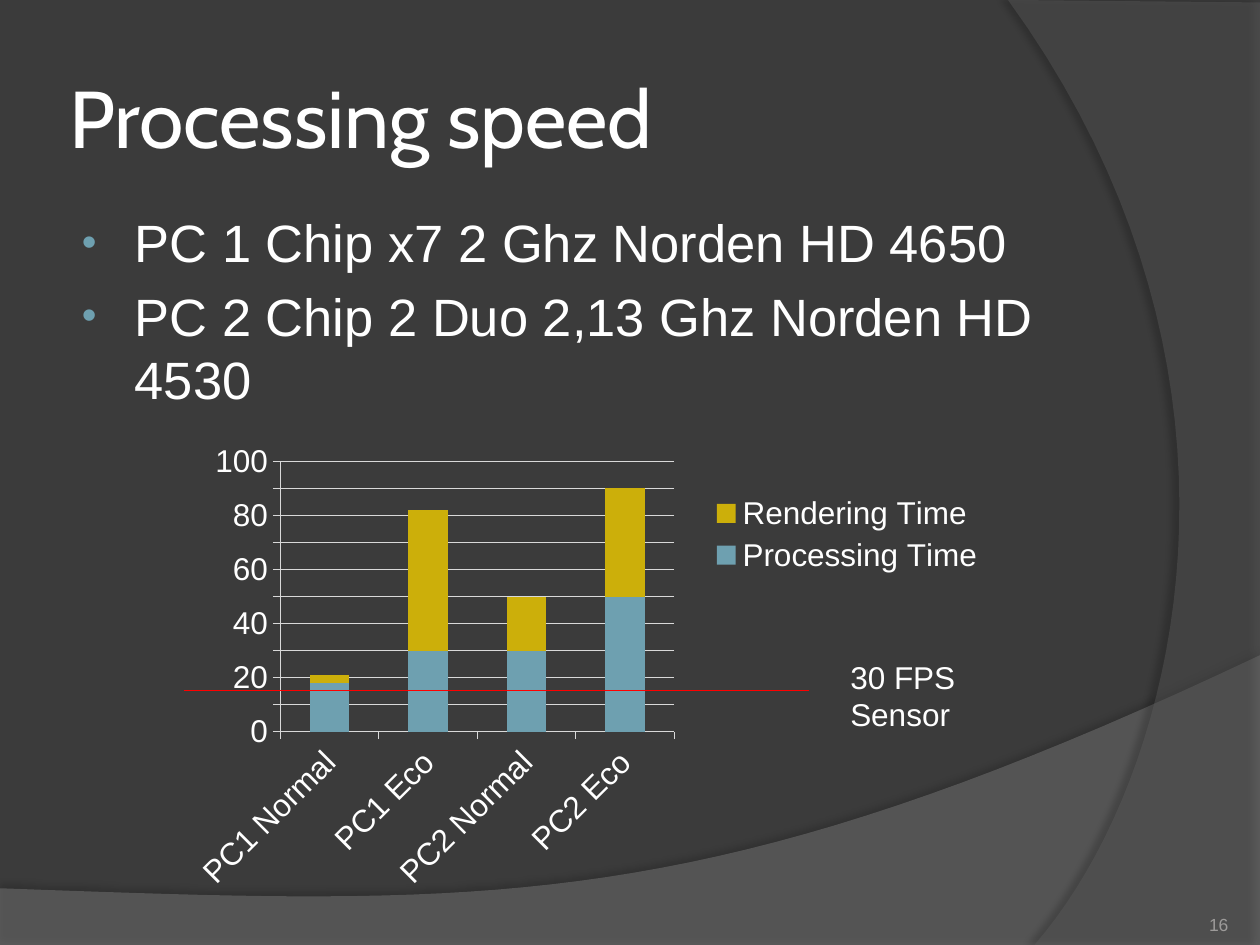
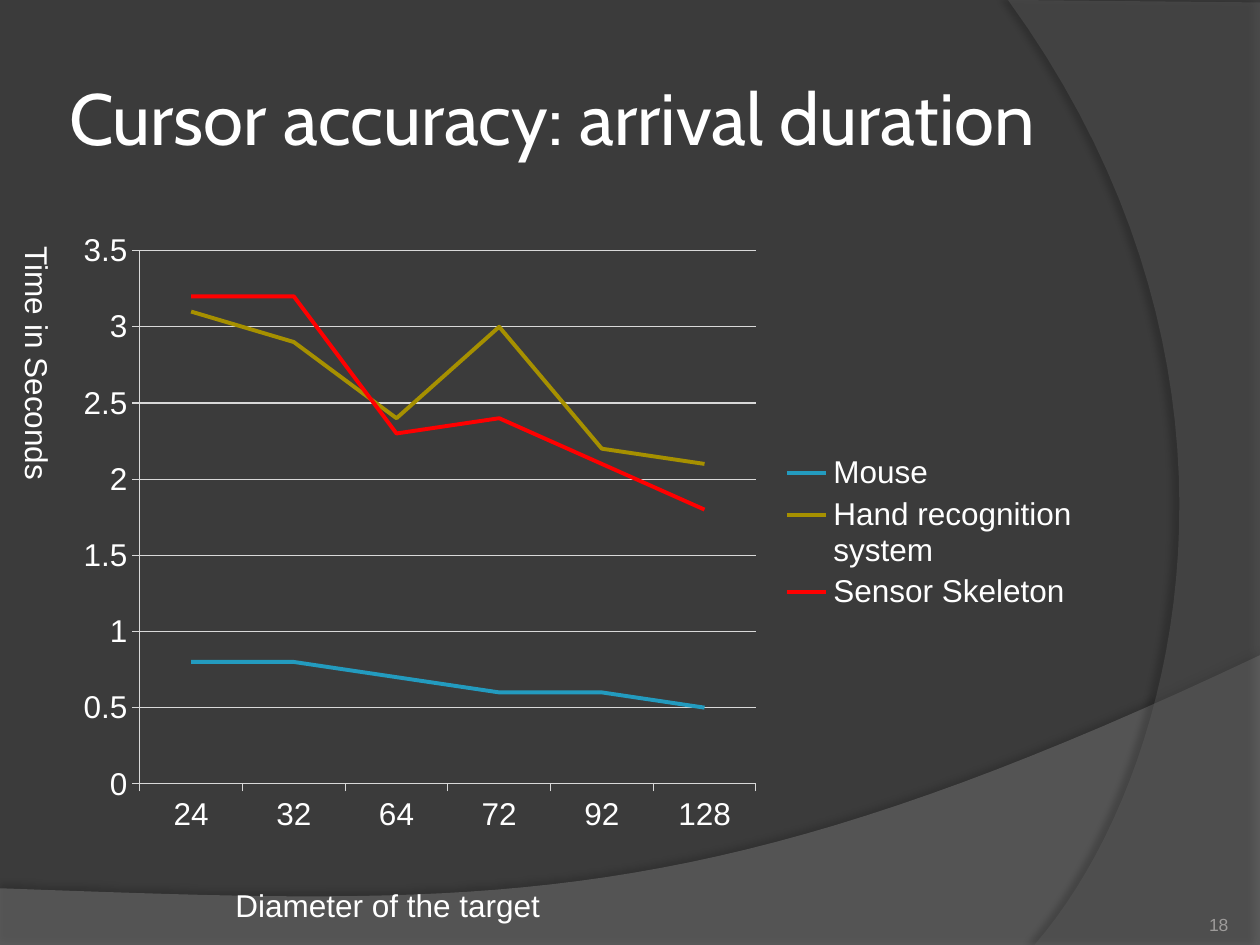
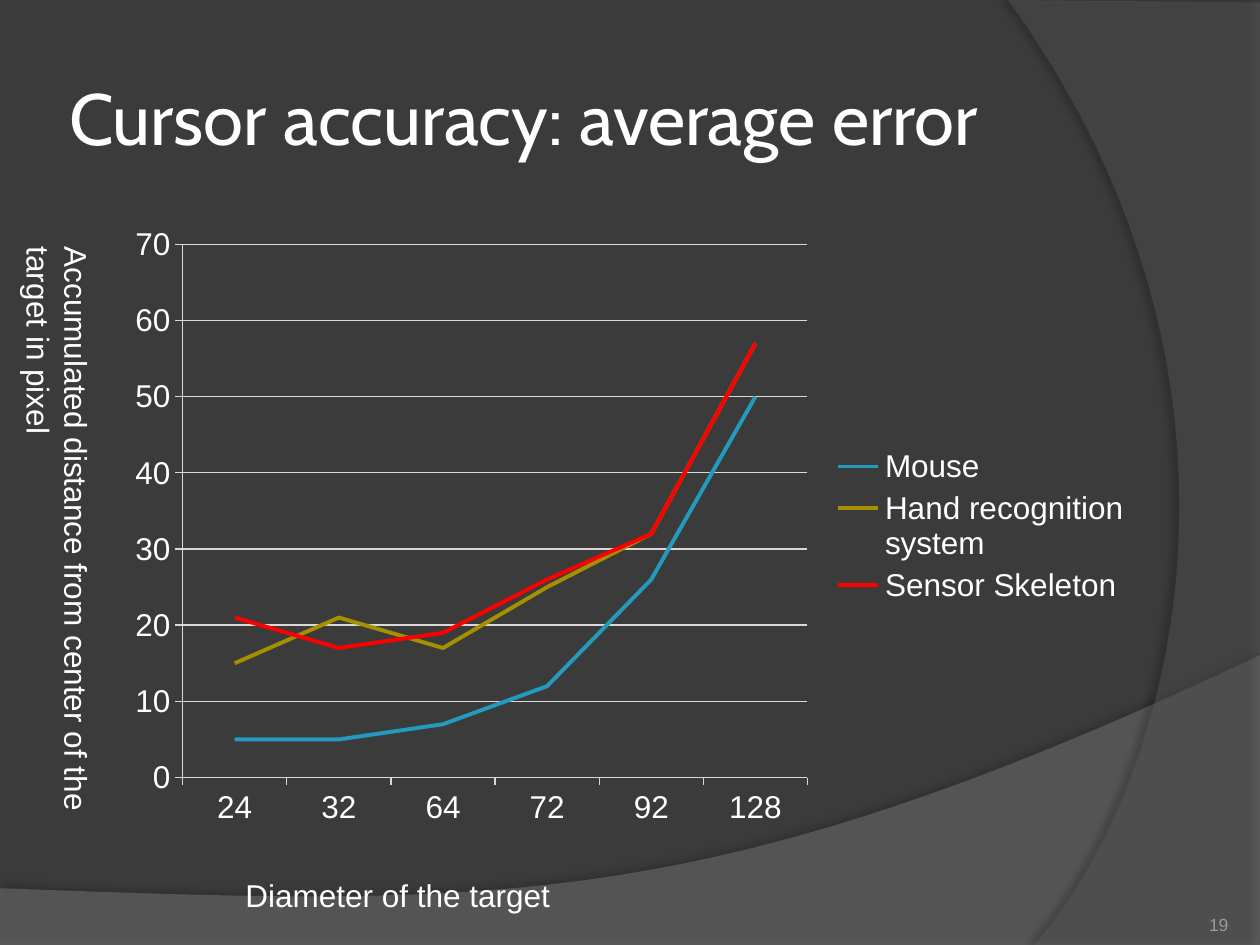
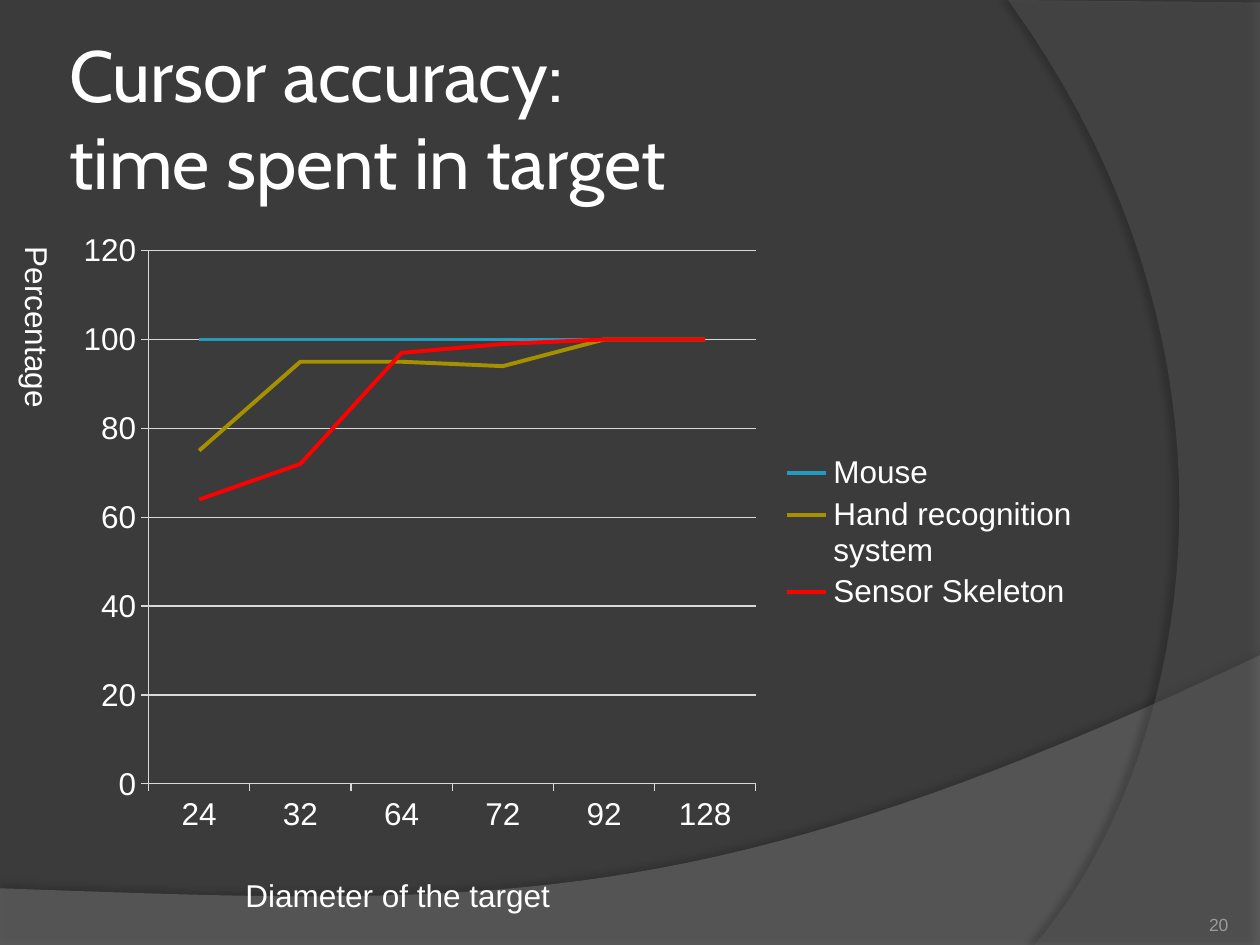
from lxml import etree
from pptx import Presentation
from pptx.chart.data import CategoryChartData
from pptx.dml.color import RGBColor
from pptx.enum.chart import XL_CHART_TYPE, XL_LEGEND_POSITION, XL_MARKER_STYLE, XL_TICK_MARK
from pptx.enum.shapes import MSO_CONNECTOR
from pptx.enum.text import MSO_ANCHOR, MSO_AUTO_SIZE, PP_ALIGN
from pptx.oxml.ns import qn
from pptx.util import Inches, Pt

STACKED, LINE = XL_CHART_TYPE.COLUMN_STACKED, XL_CHART_TYPE.LINE
LEGEND_RIGHT = XL_LEGEND_POSITION.RIGHT
NO_MARKER = XL_MARKER_STYLE.NONE
TICK_OUT = XL_TICK_MARK.OUTSIDE
STRAIGHT = MSO_CONNECTOR.STRAIGHT
TOP, MIDDLE, BOTTOM = MSO_ANCHOR.TOP, MSO_ANCHOR.MIDDLE, MSO_ANCHOR.BOTTOM
FIXED, GROW = MSO_AUTO_SIZE.NONE, MSO_AUTO_SIZE.SHAPE_TO_FIT_TEXT
LEFT, RIGHT = PP_ALIGN.LEFT, PP_ALIGN.RIGHT

BACKGROUND, WHITE, GREY, GRID = "3B3B3B", "FFFFFF", "9D9B9A", "D9D9D9"
BLUE, GOLD, RED = "6EA0B0", "CCAF0A", "FF0000"
LINE_COLOURS = ["239BBF", "A69000", RED]
DEVICES = ["Mouse", "Hand recognition system", "Sensor Skeleton"]
DIAMETERS = ["24", "32", "64", "72", "92", "128"]
CHART_BOX = (0.5, 1.75, 8.17, 4.95)
DIAMETER_BOX = (1.85, 6.9, 4.57, 0.4)


def rgb(value):
    return RGBColor.from_string(value)


def write(shape, text, size=18, font="Arial", colour=WHITE, align=LEFT, anchor=TOP,
          inset=(0.1, 0.05), fit=FIXED, vertical=None):
    frame = shape.text_frame
    frame.text = text
    frame.word_wrap = True
    frame.auto_size = fit
    frame.vertical_anchor = anchor
    frame.margin_left = frame.margin_right = Inches(inset[0])
    frame.margin_top = frame.margin_bottom = Inches(inset[1])
    if vertical:
        frame._txBody.bodyPr.set("vert", vertical)
    for paragraph in frame.paragraphs:
        paragraph.alignment = align
        for run in paragraph.runs:
            run.font.size = Pt(size)
            run.font.name = font
            run.font.color.rgb = rgb(colour)


prs = Presentation()
prs.slide_width, prs.slide_height = Inches(10), Inches(7.5)
master = prs.slide_master
master.background.fill.solid()
master.background.fill.fore_color.rgb = rgb(BACKGROUND)

pages = [
    dict(number=16, title="Processing speed", title_size=46, layout=1, kind=STACKED,
         box=(1.46, 3.44, 6.38, 3.7), top=100, step=10,
         categories=["PC1 Normal", "PC1 Eco", "PC2 Normal", "PC2 Eco"],
         names=["Processing Time", "Rendering Time"],
         rows=[[18, 30, 30, 50], [3, 52, 20, 40]], labels=[]),
    dict(number=18, title="Cursor accuracy: arrival duration", top=3.5, step=0.5,
         rows=[[0.8, 0.8, 0.7, 0.6, 0.6, 0.5],
               [3.1, 2.9, 2.4, 3, 2.2, 2.1],
               [3.2, 3.2, 2.3, 2.4, 2.1, 1.8]],
         labels=[("Diameter of the target", (1.77, 6.98, 4.25, 0.4), None),
                 ("Time in Seconds", (0, 1.86, 0.5, 2.83), "eaVert")]),
    dict(number=19, title="Cursor accuracy: average error", top=70, step=10,
         box=(0.91, 1.7, 8.17, 4.95),
         rows=[[5, 5, 7, 12, 26, 50],
               [15, 21, 17, 25, 32, 57],
               [21, 17, 19, 26, 32, 57]],
         labels=[("Diameter of the target", DIAMETER_BOX, None),
                 ("Accumulated distance from center of the target in pixel",
                  (0, 1.86, 0.81, 4.72), "eaVert")]),
    dict(number=20, title="Cursor accuracy: \vtime spent in target", top=120, step=20,
         title_width=8.52,
         rows=[[100, 100, 100, 100, 100, 100],
               [75, 95, 95, 94, 100, 100],
               [64, 72, 97, 99, 100, 100]],
         labels=[("Diameter of the target", DIAMETER_BOX, None),
                 ("Percentage", (0, 1.86, 0.5, 3.54), "eaVert")]),
]

for page in pages:
    slide = prs.slides.add_slide(prs.slide_layouts[page.get("layout", 5)])
    title = slide.shapes.title
    title.left, title.top = Inches(0.5), Inches(0.3)
    title.width, title.height = Inches(page.get("title_width", 8.17)), Inches(1.25)
    write(title, page["title"], size=page.get("title_size", 41.4), font="Cabin",
          anchor=MIDDLE, inset=(0.05, 0.05))

    page_number = slide.shapes.add_textbox(Inches(8.92), Inches(7.02), Inches(0.83), Inches(0.4))
    write(page_number, str(page["number"]), size=10, colour=GREY, align=RIGHT,
          anchor=BOTTOM, inset=(0, 0))

    for text, box, vertical in page["labels"]:
        label = slide.shapes.add_textbox(*map(Inches, box))
        write(label, text, fit=GROW, vertical=vertical)

    kind = page.get("kind", LINE)
    data = CategoryChartData()
    data.categories = page.get("categories", DIAMETERS)
    for name, values in zip(page.get("names", DEVICES), page["rows"]):
        data.add_series(name, values)
    box = page.get("box", CHART_BOX)
    chart = slide.shapes.add_chart(kind, *map(Inches, box), data).chart
    chart.has_title = False
    chart.font.size, chart.font.name = Pt(18), "Arial"
    chart.font.color.rgb = rgb(WHITE)
    chart.has_legend = True
    chart.legend.position = LEGEND_RIGHT
    chart.legend.include_in_layout = False

    scale = chart.value_axis
    scale.minimum_scale, scale.maximum_scale = 0, page["top"]
    scale.major_unit = page["step"]
    scale.has_major_gridlines = True
    for axis in (scale, chart.category_axis):
        axis.major_tick_mark = TICK_OUT
    for ruled in (scale, chart.category_axis, scale.major_gridlines):
        ruled.format.line.color.rgb = rgb(GRID)
        ruled.format.line.width = Pt(0.75)

    plot = chart.plots[0]
    plot.vary_by_categories = False
    if kind == STACKED:
        plot.overlap, plot.gap_width = 100, 150
        for series, colour in zip(plot.series, [BLUE, GOLD]):
            series.format.fill.solid()
            series.format.fill.fore_color.rgb = rgb(colour)
        category_font = chart.category_axis.tick_labels.font
        category_font.size, category_font.name = Pt(18), "Arial"
        category_font.color.rgb = rgb(WHITE)
        chart.element.xpath("//c:catAx/c:txPr/a:bodyPr")[0].set("rot", "-2700000")
        placements = [
            ("plotArea", 0, dict(layoutTarget="inner", xMode="edge", yMode="edge",
                                 x=0.12, y=0.06, w=0.49, h=0.58)),
            ("legend", 1, dict(xMode="edge", yMode="edge", x=0.65, y=0.12)),
        ]
        for part, position, settings in placements:
            area = chart.element.xpath(f"//c:{part}")[0]
            for automatic in area.findall(qn("c:layout")):
                area.remove(automatic)
            layout = etree.Element(qn("c:layout"))
            manual = etree.SubElement(layout, qn("c:manualLayout"))
            for setting, value in settings.items():
                etree.SubElement(manual, qn(f"c:{setting}"), val=str(value))
            area.insert(position, layout)
    else:
        for series, colour in zip(plot.series, LINE_COLOURS):
            series.smooth = False
            series.marker.style = NO_MARKER
            series.format.line.color.rgb = rgb(colour)
            series.format.line.width = Pt(2.25)

speed = prs.slides[0]
computers = speed.placeholders[1]
computers.left, computers.top = Inches(0.51), Inches(1.62)
computers.width, computers.height = Inches(8.17), Inches(4.95)
write(computers, "PC 1 Chip x7 2 Ghz Norden HD 4650\nPC 2 Chip 2 Duo 2,13 Ghz Norden HD 4530", size=30)
for paragraph in computers.text_frame.paragraphs:
    properties = paragraph._p.get_or_add_pPr()
    properties.set("marL", str(Inches(0.46)))
    properties.set("indent", str(Inches(-0.42)))
    bullet_colour = etree.SubElement(properties, qn("a:buClr"))
    etree.SubElement(bullet_colour, qn("a:srgbClr"), val=BLUE)
    etree.SubElement(properties, qn("a:buSzPct"), val="80000")
    etree.SubElement(properties, qn("a:buFont"), typeface="Arial")
    etree.SubElement(properties, qn("a:buChar"), char="•")

frame_limit = speed.shapes.add_connector(STRAIGHT, Inches(1.46), Inches(5.48), Inches(6.42), Inches(5.48))
frame_limit.line.color.rgb = rgb(RED)
frame_limit.line.width = Pt(0.75)
etree.SubElement(frame_limit.element.spPr, qn("a:effectLst"))
limit_label = speed.shapes.add_textbox(Inches(6.65), Inches(5.17), Inches(1.26), Inches(0.71))
write(limit_label, "30 FPS Sensor", fit=GROW)

bands = [
    dict(corners=[(0, 7.05), (0, 7.51), (10, 7.51)],
         curve=[(10, 5.2), (5.59, 7.29), (3.91, 7.19), (0, 7.05)],
         colour="7F7F7F", opacity=45, shade=35, distance=3.5, direction=270),
    dict(corners=[(10, 0.02), (10, 7.5)],
         curve=[(8.21, 7.5), (9.35, 6.19), (10.18, 3), (8, 0)],
         colour="5E5E5E", opacity=40, shade=45, distance=4, direction=180),
]
swooshes = []
for band in bands:
    outline = list(band["corners"])
    for step in range(41):
        t = step / 40
        weights = ((1 - t) ** 3, 3 * t * (1 - t) ** 2, 3 * t * t * (1 - t), t ** 3)
        outline.append(tuple(sum(w * point[i] for w, point in zip(weights, band["curve"]))
                             for i in (0, 1)))
    points = [(Inches(x), Inches(y)) for x, y in outline]
    builder = speed.shapes.build_freeform(*points[0])
    builder.add_line_segments(points[1:], close=True)
    swoosh = builder.convert_to_shape()
    swoosh.fill.solid()
    swoosh.fill.fore_color.rgb = rgb(band["colour"])
    swoosh.line.fill.background()
    swoosh.shadow.inherit = False
    fill_colour = swoosh.element.xpath("./p:spPr/a:solidFill/a:srgbClr")[0]
    etree.SubElement(fill_colour, qn("a:alpha"), val=str(band["opacity"] * 1000))
    effects = swoosh.element.spPr.find(qn("a:effectLst"))
    shadow = etree.SubElement(effects, qn("a:outerShdw"), blurRad=str(Pt(4)),
                              dist=str(Pt(band["distance"])),
                              dir=str(band["direction"] * 60000), rotWithShape="0")
    shadow_colour = etree.SubElement(shadow, qn("a:srgbClr"), val="000000")
    etree.SubElement(shadow_colour, qn("a:alpha"), val=str(band["shade"] * 1000))
    swooshes.append(swoosh.element)
for position, swoosh in enumerate(swooshes, start=2):
    master.shapes.element.insert(position, swoosh)

prs.save("out.pptx")
